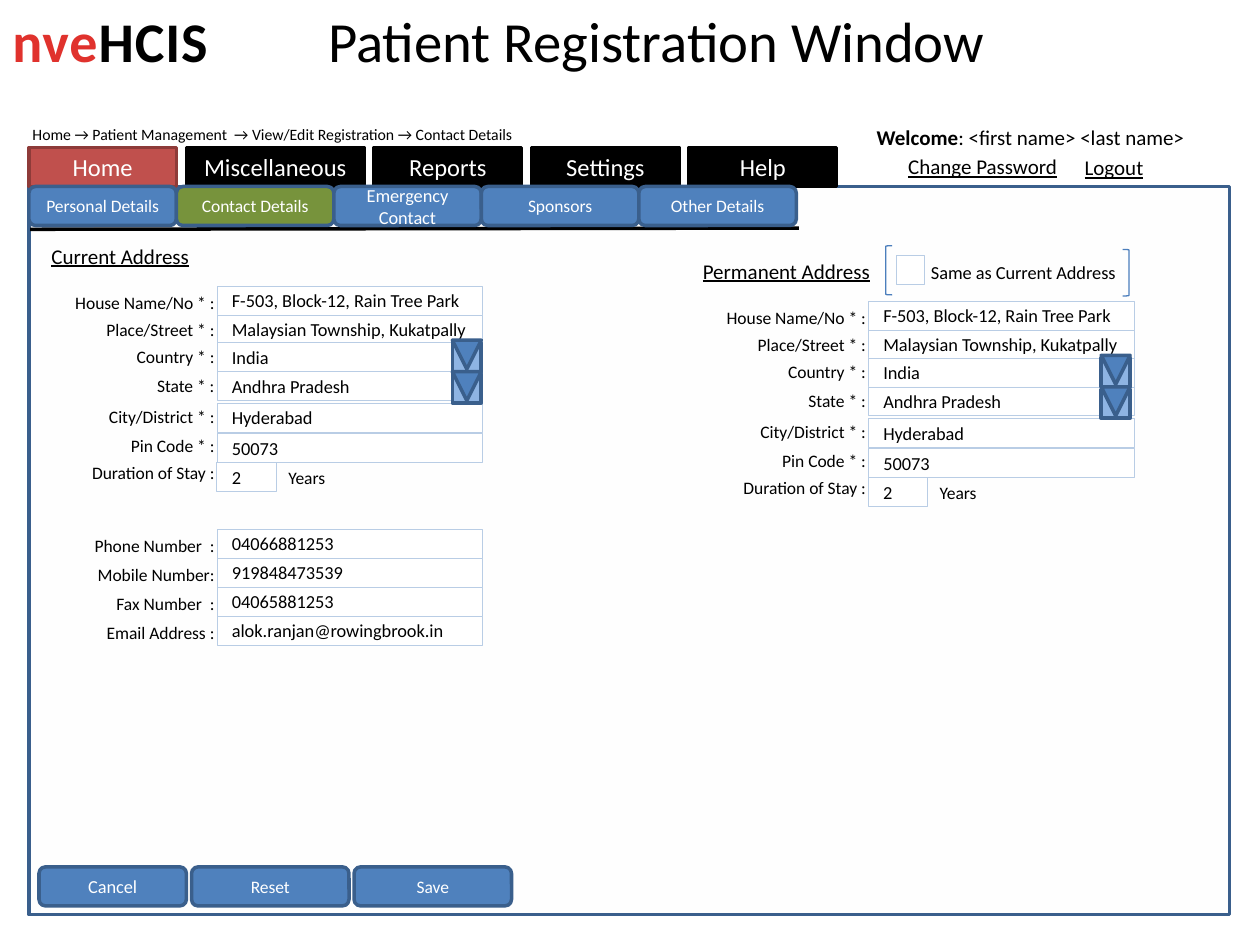
from lxml import etree
from pptx import Presentation
from pptx.dml.color import RGBColor
from pptx.enum.shapes import MSO_CONNECTOR, MSO_SHAPE
from pptx.enum.text import MSO_ANCHOR, MSO_AUTO_SIZE, PP_ALIGN
from pptx.oxml.ns import qn
from pptx.util import Inches, Pt

FONT = "Calibri"
BLACK = RGBColor(0x00, 0x00, 0x00)
WHITE = RGBColor(0xFF, 0xFF, 0xFF)
RED = RGBColor(0xE0, 0x32, 0x2D)
BRICK = RGBColor(0xC0, 0x50, 0x4D)
MAROON = RGBColor(0x8E, 0x3B, 0x39)
GREEN = RGBColor(0x77, 0x93, 0x3C)
BLUE = RGBColor(0x4F, 0x81, 0xBD)
NAVY = RGBColor(0x3A, 0x5F, 0x8C)
STEEL = RGBColor(0x4B, 0x7E, 0xBC)
SKY = RGBColor(0x8E, 0xB4, 0xE3)
PALE = RGBColor(0xB9, 0xCD, 0xE5)
GRAY = RGBColor(0xF2, 0xF2, 0xF2)

# label, label top, value, field top, field width
ADDRESS = [
    ("House Name/No * :", 2.27, "F-503, Block-12, Rain Tree Park", 2.27, 2.11),
    ("Place/Street * :", 2.48, "Malaysian Township, Kukatpally", 2.5, 2.11),
    ("Country * :", 2.7, "India", 2.72, 2.11),
    ("State * :", 2.93, "Andhra Pradesh", 2.95, 2.11),
    ("City/District * :", 3.17, "Hyderabad", 3.2, 2.11),
    ("Pin Code * :", 3.4, "50073", 3.44, 2.11),
    ("Duration of Stay :", 3.62, "2", 3.67, 0.47),
]
PHONES = [
    ("Phone Number  :", "04066881253"),
    ("Mobile Number:", "919848473539"),
    ("Fax Number  :", "04065881253"),
    ("Email Address :", "alok.ranjan@rowingbrook.in"),
]
MENU = [("Home", 1.17), ("Miscellaneous", 1.41), ("Reports", 1.17),
        ("Settings", 1.17), ("Help", 1.17)]
TABS = [("Personal Details", 1.17, 10), ("Contact Details", 1.25, 10),
        ("Emergency Contact", 1.17, 10.5), ("Sponsors", 1.25, 10),
        ("Other Details", 1.25, 10)]
BUTTONS = [("Cancel", 1.17, 10.5), ("Reset", 1.25, 10), ("Save", 1.25, 10)]


def style(run, size, color=BLACK, bold=False, line=False):
    font = run.font
    font.name, font.size, font.bold = FONT, Pt(size), bold
    font.underline = line
    font.color.rgb = color


def write(shape, text, size, color=BLACK, align=PP_ALIGN.LEFT, line=False):
    para = shape.text_frame.paragraphs[0]
    para.text = text
    para.alignment = align
    style(para.runs[0], size, color, line=line)


def add_text(slide, text, box, size, align=PP_ALIGN.LEFT, wrap=True, line=False):
    area = slide.shapes.add_textbox(*map(Inches, box))
    area.text_frame.word_wrap = wrap
    write(area, text, size, align=align, line=line)
    return area


def add_box(shapes, kind, box, fill, edge, width=2):
    """Draw a preset shape; fill None leaves it hollow."""
    shape = shapes.add_shape(kind, *map(Inches, box))
    shape.shadow.inherit = False
    if fill is None:
        shape.fill.background()
    else:
        shape.fill.solid()
        shape.fill.fore_color.rgb = fill
    shape.line.color.rgb = edge
    shape.line.width = Pt(width)
    return shape


def add_button(slide, text, box, size, fill=BLUE, edge=NAVY,
               kind=MSO_SHAPE.ROUNDED_RECTANGLE):
    shape = add_box(slide.shapes, kind, box, fill, edge)
    write(shape, text, size, WHITE, PP_ALIGN.CENTER)


def add_field(slide, text, left, top, width=2.11):
    box = (left, top, width, 0.23)
    shape = add_box(slide.shapes, MSO_SHAPE.RECTANGLE, box, WHITE, PALE, 0.25)
    shape.text_frame.margin_left = Inches(0.12)
    write(shape, text, 10.5)


def add_label(slide, text, left, top):
    add_text(slide, text, (left, top, 1.41, 0.27), 10, PP_ALIGN.RIGHT)


def add_arrow(slide, left, top):
    """Draw the drop-down marker of a list field."""
    group = slide.shapes.add_group_shape()
    add_box(group.shapes, MSO_SHAPE.RECTANGLE, (left, top + 0.02, 0.23, 0.23), SKY, NAVY)
    add_box(group.shapes, MSO_SHAPE.FLOWCHART_MERGE, (left, top, 0.23, 0.23), BLUE, NAVY)


def add_form(slide, title, head, right, down, drop):
    """Draw an address form, shifted right and down from the first one."""
    add_text(slide, title, (0.31 + right, head, 1.8, 0.3), 12, line=True)
    for label, top, value, row, width in ADDRESS:
        add_label(slide, label, 0.39 + right, top + down)
        add_field(slide, value, 1.72 + right, row + down, width)
    add_text(slide, "Years", (2.19 + right, 3.66 + down, 1.17, 0.27), 10)
    for top in (2.7, 2.95):
        add_arrow(slide, drop, top + down)


def add_phones(slide):
    for row, (label, value) in enumerate(PHONES):
        top = 4.2 + 0.23 * row
        add_label(slide, label, 0.39, top)
        add_field(slide, value, 1.72, top)


def add_head(slide):
    title = slide.shapes.title
    title.left, title.top, title.width, title.height = map(Inches, (1.67, 0.08, 7.08, 0.47))
    frame = title.text_frame
    frame.auto_size = MSO_AUTO_SIZE.NONE
    frame.vertical_anchor = MSO_ANCHOR.MIDDLE
    write(title, "Patient Registration Window", 32.4, align=PP_ALIGN.CENTER)

    name = add_text(slide, "nve", (0, 0, 2.03, 0.64), 32)
    para = name.text_frame.paragraphs[0]
    para.add_run().text = "HCIS"
    for run, color in zip(para.runs, (RED, BLACK)):
        style(run, 32, color, bold=True)
        run.font._element.set("spc", "50")

    hello = add_text(slide, "Welcome", (6.86, 0.94, 2.67, 0.3), 12, wrap=False)
    para = hello.text_frame.paragraphs[0]
    para.runs[0].font.bold = True
    rest = para.add_run()
    rest.text = ": <first name> <last name>"
    style(rest, 12)
    add_text(slide, "Change Password", (7.11, 1.17, 1.4, 0.3), 12, wrap=False, line=True)
    add_text(slide, "Logout", (8.51, 1.18, 0.67, 0.3), 12, wrap=False, line=True)
    trail = "Home → Patient Management  → View/Edit Registration → Contact Details"
    add_text(slide, trail, (0.16, 0.94, 5.23, 0.25), 9)


def add_panel(slide):
    panel = add_box(slide.shapes, MSO_SHAPE.RECTANGLE, (0.23, 1.48, 9.53, 5.78), GRAY, NAVY)
    tint = panel._element.spPr.find(qn("a:solidFill"))[0]
    etree.SubElement(tint, qn("a:alpha")).set("val", "4000")


def add_menu(slide):
    left = 0.23
    for text, width in MENU:
        fill, edge = (BRICK, MAROON) if text == "Home" else (BLACK, BLACK)
        add_button(slide, text, (left, 1.17, width, 0.31), 14, fill, edge, MSO_SHAPE.RECTANGLE)
        left += width + 0.08


def add_row(slide, items, left, top, gap, active=None):
    for text, width, size in items:
        fill = GREEN if text == active else BLUE
        add_button(slide, text, (left, top, width, 0.31), size, fill)
        left += width + gap


def add_rule(slide):
    ends = map(Inches, (0.24, 1.82, 6.34, 1.81))
    rule = slide.shapes.add_connector(MSO_CONNECTOR.STRAIGHT, *ends)
    rule.line.color.rgb = BLACK
    rule.line.width = Pt(2)
    etree.SubElement(rule._element.spPr, qn("a:effectLst"))


def add_same(slide):
    """Draw the bracketed check box of the permanent address."""
    add_box(slide.shapes, MSO_SHAPE.RECTANGLE, (7.11, 2.03, 0.23, 0.23), WHITE, PALE, 0.25)
    add_text(slide, "Same as Current Address", (7.29, 2.02, 1.8, 0.29), 10.5)
    add_box(slide.shapes, MSO_SHAPE.LEFT_BRACKET, (7.03, 1.95, 0.05, 0.39), None, STEEL, 0.75)
    add_box(slide.shapes, MSO_SHAPE.RIGHT_BRACKET, (8.91, 1.98, 0.05, 0.37), None, STEEL, 0.75)


def main():
    deck = Presentation()
    deck.slide_width, deck.slide_height = Inches(10), Inches(7.5)
    slide = deck.slides.add_slide(deck.slide_layouts[5])
    add_panel(slide)
    add_head(slide)
    add_menu(slide)
    add_rule(slide)
    add_row(slide, TABS, 0.23, 1.48, 0, "Contact Details")
    add_form(slide, "Current Address", 1.88, 0, 0, 3.59)
    add_form(slide, "Permanent Address", 2, 5.17, 0.12, 8.74)
    add_same(slide)
    add_phones(slide)
    add_row(slide, BUTTONS, 0.31, 6.88, 0.04)
    deck.save("out.pptx")


if __name__ == "__main__":
    main()
